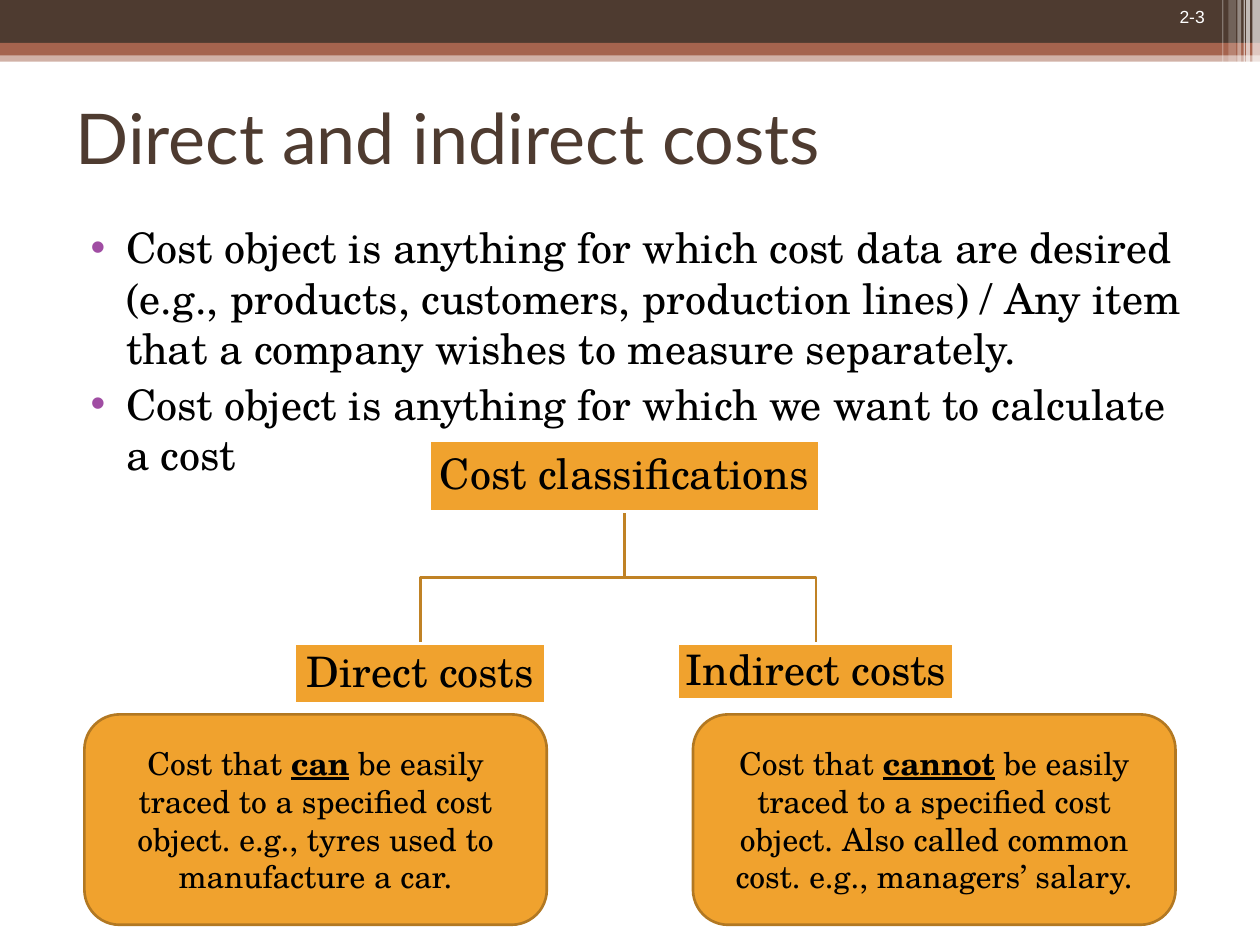
from dataclasses import dataclass

from lxml import etree
from pptx import Presentation
from pptx import util as u
from pptx.dml.color import RGBColor
from pptx.enum import shapes, text
from pptx.oxml.ns import qn

BROWN = RGBColor(0x4E, 0x3B, 0x30)
RUST = RGBColor(0xA5, 0x64, 0x4E)
WHITE = RGBColor(0xFF, 0xFF, 0xFF)
BLACK = RGBColor(0x00, 0x00, 0x00)
AMBER = RGBColor(0xF0, 0xA2, 0x2E)
BRANCH = RGBColor(0xC0, 0x82, 0x25)
CARD_EDGE = RGBColor(0xB2, 0x78, 0x22)
PURPLE = RGBColor(0xA0, 0x4D, 0xA3)
SERIF = "TeX Gyre Schola"
RECT = shapes.MSO_SHAPE.RECTANGLE
ROUNDED = shapes.MSO_SHAPE.ROUNDED_RECTANGLE
CENTER = text.PP_ALIGN.CENTER


@dataclass(frozen=True)
class Box:
    left: float
    top: float
    width: float
    height: float

    @property
    def center(self) -> float:
        return self.left + self.width / 2

    @property
    def bottom(self) -> float:
        return self.top + self.height

    def lengths(self) -> list[int]:
        return [u.Inches(v) for v in (self.left, self.top, self.width, self.height)]


@dataclass(frozen=True)
class Band:
    box: Box
    color: RGBColor
    opacity: int = 100


@dataclass(frozen=True)
class Node:
    box: Box
    label: str


@dataclass(frozen=True)
class Card:
    box: Box
    definition: str


BANDS = [
    Band(Box(0, 0.4, 10, 0.09), RUST, 50),
    Band(Box(0, 0, 10, 0.34), BROWN),
    Band(Box(0, 0.34, 10, 0.1), RUST),
    Band(Box(9.94, 0, 0.06, 0.68), WHITE, 65),
    Band(Box(9.89, 0, 0.03, 0.68), WHITE, 65),
    Band(Box(9.87, 0, 0.01, 0.68), WHITE, 60),
    Band(Box(9.82, 0, 0.03, 0.68), WHITE, 40),
    Band(Box(9.75, 0, 0.06, 0.64), WHITE, 20),
    Band(Box(9.7, 0, 0.01, 0.64), WHITE, 30),
]
ROOT = Node(Box(3.41, 3.5, 3.09, 0.56), "Cost classifications")
BRANCHES = [
    Node(Box(2.34, 5.11, 1.99, 0.47), "Direct costs"),
    Node(Box(5.38, 5.11, 2.19, 0.44), "Indirect costs"),
]
CARDS = [
    Card(Box(0.67, 5.67, 3.67, 1.67),
         "Cost that *can* be easily traced to a specified cost object. "
         "e.g., tyres used to manufacture a car."),
    Card(Box(5.5, 5.67, 3.83, 1.67),
         "Cost that *cannot* be easily traced to a specified cost object. "
         "Also called common cost. e.g., managers’ salary."),
]
COST_OBJECT = [
    "Cost object is anything for which cost data are desired (e.g., products, "
    "customers, production lines) / Any item that a company wishes to measure separately.",
    "Cost object is anything for which we want to calculate a cost",
]


def add_bullet(paragraph) -> None:
    props = paragraph._p.get_or_add_pPr()
    props.set("marL", str(u.Inches(0.4)))
    props.set("indent", str(u.Inches(-0.28)))
    color = etree.SubElement(props, qn("a:buClr"))
    etree.SubElement(color, qn("a:srgbClr"), val=str(PURPLE))
    etree.SubElement(props, qn("a:buFont"), typeface="Arial")
    etree.SubElement(props, qn("a:buChar"), char="•")


def write(frame, *paragraphs: str, size: float, font: str = SERIF,
          color: RGBColor = BLACK, align=text.PP_ALIGN.LEFT,
          anchor=text.MSO_ANCHOR.MIDDLE, spacing: float = 1.0,
          gap: float = 0, bullets: bool = False, inset: float | None = None) -> None:
    frame.word_wrap = True
    frame.auto_size = text.MSO_AUTO_SIZE.NONE
    frame.vertical_anchor = anchor
    if inset is not None:
        frame.margin_left = frame.margin_right = u.Inches(inset)
        frame.margin_top = frame.margin_bottom = u.Inches(inset)
    for index, content in enumerate(paragraphs):
        paragraph = frame.add_paragraph() if index else frame.paragraphs[0]
        paragraph.alignment = align
        paragraph.line_spacing = spacing
        paragraph.space_before = u.Pt(gap if index else 0)
        if bullets:
            add_bullet(paragraph)
        for part, words in enumerate(content.split("*")):
            run = paragraph.add_run()
            run.text = words
            run.font.size = u.Pt(size)
            run.font.name = font
            run.font.color.rgb = color
            if part % 2:
                run.font.bold = run.font.underline = True


def place(holder, box: Box) -> None:
    holder.left, holder.top, holder.width, holder.height = box.lengths()


def add_block(slide, box: Box, fill: RGBColor, kind=RECT, edge: RGBColor | None = None):
    block = slide.shapes.add_shape(kind, *box.lengths())
    block.shadow.inherit = False
    block.fill.solid()
    block.fill.fore_color.rgb = fill
    if edge is None:
        block.line.fill.background()
    else:
        block.line.color.rgb = edge
        block.line.width = u.Pt(1.5)
    return block


def draw_band(slide, band: Band) -> None:
    block = add_block(slide, band.box, band.color)
    if band.opacity < 100:
        color = block._element.spPr.find(".//" + qn("a:srgbClr"))
        etree.SubElement(color, qn("a:alpha"), val=str(band.opacity * 1000))


def draw_branch(slide, parent: Box, child: Box) -> None:
    middle = (parent.bottom + child.top) / 2
    points = [(parent.center, middle), (child.center, middle), (child.center, child.top)]
    builder = slide.shapes.build_freeform(
        u.Inches(parent.center), u.Inches(parent.bottom))
    builder.add_line_segments([(u.Inches(x), u.Inches(y)) for x, y in points], close=False)
    branch = builder.convert_to_shape()
    branch.shadow.inherit = False
    branch.fill.background()
    branch.line.color.rgb = BRANCH
    branch.line.width = u.Pt(1.5)


def draw_node(slide, node: Node) -> None:
    block = add_block(slide, node.box, AMBER, edge=WHITE)
    write(block.text_frame, node.label, size=24, align=CENTER, spacing=0.9, inset=0.02)


def draw_card(slide, card: Card) -> None:
    block = add_block(slide, card.box, AMBER, ROUNDED, CARD_EDGE)
    write(block.text_frame, card.definition, size=18, align=CENTER)


def main() -> None:
    deck = Presentation()
    deck.slide_width, deck.slide_height = u.Inches(10), u.Inches(7.5)
    slide = deck.slides.add_slide(deck.slide_layouts[1])
    title, body = slide.placeholders

    for band in BANDS:
        draw_band(slide, band)
    page_number = slide.shapes.add_textbox(*Box(8.58, 0, 1.08, 0.27).lengths())
    write(page_number.text_frame, "2-3", size=10, font="Arial", color=WHITE,
          align=text.PP_ALIGN.RIGHT, anchor=text.MSO_ANCHOR.TOP)

    place(title, Box(0.5, 0.5, 9, 1.17))
    write(title.text_frame, "Direct and indirect costs", size=40, font="Lato", color=BROWN)
    place(body, Box(0.5, 1.71, 9, 4.69))
    write(body.text_frame, *COST_OBJECT, size=24, gap=3, bullets=True,
          anchor=text.MSO_ANCHOR.TOP)

    for node in reversed(BRANCHES):
        draw_branch(slide, ROOT.box, node.box)
    for node in [ROOT, *BRANCHES]:
        draw_node(slide, node)
    for card in CARDS:
        draw_card(slide, card)
    deck.save("out.pptx")


if __name__ == "__main__":
    main()
